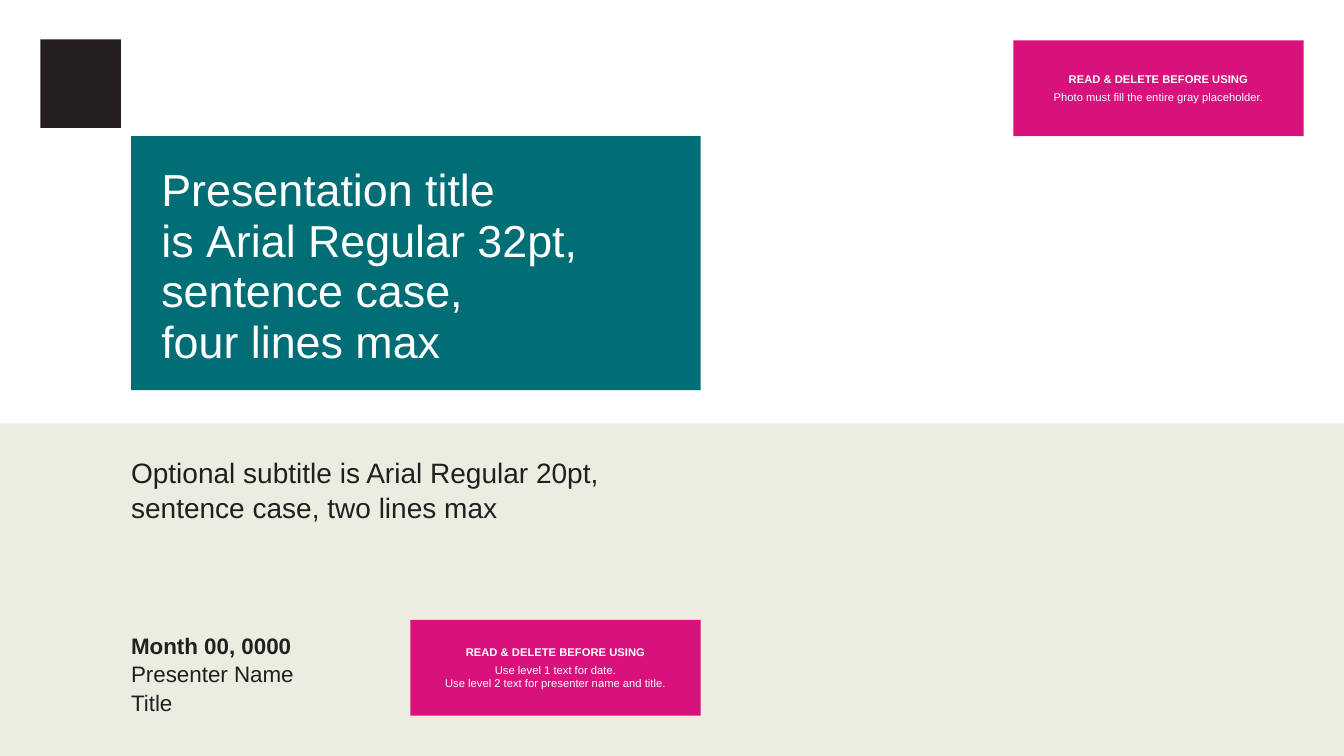
from pptx import Presentation
from pptx.util import Inches, Pt
from pptx.dml.color import RGBColor
from pptx.enum import shapes, text

TEAL, PINK, SAND, INK, WHITE = "006E74", "D8117D", "ECECE1", "231F20", "FFFFFF"
LEFT, COLUMN = 1.3, 5.65
NOTE_W, NOTE_H = 2.88, 0.95


def rgb(value):
    return RGBColor.from_string(value)


class Deck:
    """Holds the text style and the current slide."""

    font = "Arial"

    def __init__(self, prs):
        self.s = prs.slides.add_slide(prs.slide_layouts[6])

    def rect(self, x, y, w, h, fill):
        sp = self.s.shapes.add_shape(
            shapes.MSO_SHAPE.RECTANGLE, Inches(x), Inches(y), Inches(w), Inches(h))
        sp.shadow.inherit = False
        sp.fill.solid()
        sp.fill.fore_color.rgb = rgb(fill)
        sp.line.fill.background()
        return sp

    def textbox(self, x, y, w, h):
        return self.s.shapes.add_textbox(Inches(x), Inches(y), Inches(w), Inches(h))

    def set_text(self, sp, lines, size, color, bold_first=False, inset=0.0,
                 anchor=text.MSO_ANCHOR.TOP, align=text.PP_ALIGN.LEFT,
                 spacing=1.0, before=0):
        tf = sp.text_frame
        tf.word_wrap = True
        tf.vertical_anchor = anchor
        tf.margin_left = tf.margin_right = Inches(inset)
        tf.margin_top = tf.margin_bottom = Inches(inset)
        for i, line in enumerate(lines):
            p = tf.add_paragraph() if i else tf.paragraphs[0]
            p.text = line
            p.alignment = align
            p.line_spacing = spacing
            p.space_before = Pt(before)
            for r in p.runs:
                r.font.name = self.font
                r.font.size = Pt(size)
                r.font.bold = bold_first and i == 0
                r.font.color.rgb = rgb(color)

    def note(self, x, y, message):
        sp = self.rect(x, y, NOTE_W, NOTE_H, PINK)
        self.set_text(sp, ["READ & DELETE BEFORE USING", message], 8, WHITE,
                      bold_first=True, inset=0.05, anchor=text.MSO_ANCHOR.MIDDLE,
                      align=text.PP_ALIGN.CENTER, before=3)


def main():
    prs = Presentation()
    prs.slide_width, prs.slide_height = Inches(13.33), Inches(7.5)
    deck = Deck(prs)

    # Lower band and logo placeholder
    deck.rect(0, 4.2, 13.33, 3.3, SAND)
    deck.rect(0.4, 0.39, 0.8, 0.88, INK)

    # Title panel
    title = deck.rect(LEFT, 1.35, COLUMN, 2.52, TEAL)
    deck.set_text(title, ["Presentation title\nis\u00a0Arial Regular 32pt,\n"
                          "sentence case,\nfour lines max"],
                  32, WHITE, inset=0.3, spacing=0.94)

    # Subtitle
    subtitle = deck.textbox(LEFT, 4.5, COLUMN, 0.75)
    deck.set_text(subtitle, ["Optional subtitle is Arial Regular 20pt, "
                             "sentence case, two lines max"], 20, INK, spacing=1.05)

    # Date and presenter
    presenter = deck.textbox(LEFT, 6.1, COLUMN, 1)
    deck.set_text(presenter, ["Month 00, 0000", "Presenter Name", "Title"], 16, INK,
                  bold_first=True, anchor=text.MSO_ANCHOR.BOTTOM, spacing=1.05)

    # Instruction notes
    deck.note(10.05, 0.4, "Photo must fill the entire gray placeholder.")
    deck.note(4.07, 6.15, "Use level 1 text for date.\n"
                          "Use level 2 text for presenter name and title.")

    prs.save("out.pptx")


if __name__ == "__main__":
    main()
